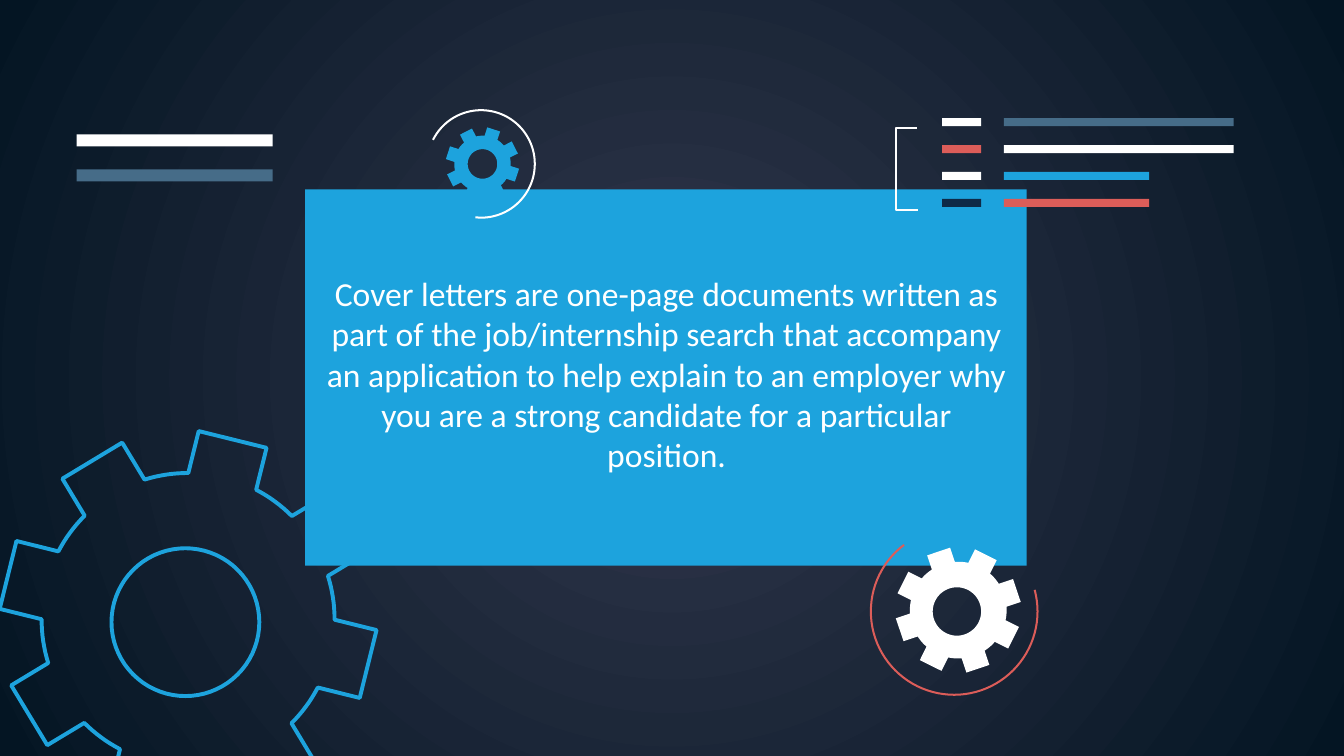
import math

from lxml import etree
from pptx import Presentation
from pptx.dml.color import RGBColor
from pptx.enum.shapes import MSO_SHAPE
from pptx.enum.text import MSO_ANCHOR, PP_ALIGN
from pptx.oxml.ns import qn
from pptx.util import Inches, Pt

RECTANGLE, ARC = MSO_SHAPE.RECTANGLE, MSO_SHAPE.ARC
TOP, CENTER = MSO_ANCHOR.TOP, PP_ALIGN.CENTER

COLORS = {
    "glow": "32374C", "night": "041523", "blue": "1DA3DD", "slate": "466C88",
    "red": "DC5D59", "navy": "0E2A47", "white": "FFFFFF",
}
MESSAGE = (
    "Cover letters are one-page documents written as part of the job/internship "
    "search that accompany an application to help explain to an employer why you "
    "are a strong candidate for a particular position."
)
PANEL = (2.27, 1.41, 5.37, 2.8)
MESSAGE_BOX = (2.29, 1.93, 5.34, 2.21)

# center, tip radius, root radius, half tooth width, first tooth angle,
# hole center, hole radius, fill, line
GEARS = [
    ((1.4, 4.61), 1.38, 1.09, 0.26, 13.9, (1.38, 4.63), 0.55, None, "blue"),
    ((7.13, 4.54), 0.46, 0.36, 0.09, 26.5, (7.12, 4.55), 0.18, "white", None),
    ((3.59, 1.22), 0.27, 0.21, 0.05, 18, (3.59, 1.22), 0.11, "blue", None),
]
TEETH = 8

# center, radius, start angle, end angle (clockwise), line
RINGS = [
    ((3.58, 1.22), 0.4, 206.6, 96, "white"),
    ((7.1, 4.55), 0.62, 345, 233, "red"),
]

# marker colour, bar colour, bar width
LIST_ROWS = [
    ("white", "slate", 1.71),
    ("red", "white", 1.71),
    ("white", "blue", 1.08),
    ("navy", "red", 1.08),
]
LIST_TOP, LIST_PITCH, LIST_BAR_HEIGHT = 0.88, 0.2, 0.06
MARKER_LEFT, MARKER_WIDTH, LIST_BAR_LEFT = 7.01, 0.29, 7.47
TITLE_BARS = [(1.0, "white"), (1.26, "slate")]
BRACKET = [(6.83, 1.56), (6.67, 1.56), (6.67, 0.95), (6.82, 0.95)]


def color(name):
    return RGBColor.from_string(COLORS[name])


def paint(shape, fill=None, line=None, width=1.09):
    shape.shadow.inherit = False
    if fill:
        shape.fill.solid()
        shape.fill.fore_color.rgb = color(fill)
    else:
        shape.fill.background()
    if line:
        shape.line.color.rgb = color(line)
        shape.line.width = Pt(width)
    else:
        shape.line.fill.background()


def add_bar(page, left, top, width, height, fill):
    bar = page.shapes.add_shape(RECTANGLE, *map(Inches, (left, top, width, height)))
    paint(bar, fill)


def add_outline(page, contours, closed=True):
    """Make one freeform out of lists of points in inches."""
    contours = [[(Inches(x), Inches(y)) for x, y in points] for points in contours]
    builder = page.shapes.build_freeform(*contours[0][0], scale=1.0)
    for index, points in enumerate(contours):
        if index:
            builder.move_to(*points[0])
        builder.add_line_segments(points[1:], close=closed)
    return builder.convert_to_shape()


def arc_points(center, radius, start, end, steps):
    angles = [start + (end - start) * step / steps for step in range(steps + 1)]
    return [(center[0] + radius * math.cos(angle), center[1] + radius * math.sin(angle))
            for angle in angles]


def gear_points(center, tip, root, half_width, first_angle):
    """Straight-sided teeth joined by arcs on the root circle."""
    pitch = 2 * math.pi / TEETH
    root_half = math.asin(half_width / root)
    tip_half = math.atan2(half_width, tip)
    corner_radius = math.hypot(tip, half_width)
    points = []
    for tooth in range(TEETH):
        angle = math.radians(first_angle) + tooth * pitch
        points += arc_points(center, corner_radius, angle - tip_half, angle + tip_half, 1)
        points += arc_points(center, root, angle + root_half, angle + pitch - root_half, 8)
    return points


def add_gear(page, center, tip, root, half_width, first_angle,
             hole_center, hole_radius, fill, line):
    body = gear_points(center, tip, root, half_width, first_angle)
    hole = arc_points(hole_center, hole_radius, 2 * math.pi, 0, 72)
    paint(add_outline(page, [body, hole]), fill, line, 2.1)


def add_ring(page, center, radius, start, end, line):
    left, top = (value - radius for value in center)
    ring = page.shapes.add_shape(ARC, *map(Inches, (left, top, 2 * radius, 2 * radius)))
    # Angles are stored in 1/60000 degree, adjustments in 1/100000
    ring.adjustments[0], ring.adjustments[1] = start * 0.6, end * 0.6
    paint(ring, line=line)


def set_radial_background(page):
    fill = page.background.fill
    fill.gradient()
    for stop, name in zip(fill.gradient_stops, ("glow", "night")):
        stop.color.rgb = color(name)
    linear = page.element.find(".//" + qn("a:lin"))
    radial = etree.Element(qn("a:path"), {"path": "circle"})
    edges = {side: "50000" for side in "ltrb"}
    etree.SubElement(radial, qn("a:fillToRect"), edges)
    linear.getparent().replace(linear, radial)


def add_message(page):
    box = page.shapes.add_textbox(*map(Inches, MESSAGE_BOX))
    frame = box.text_frame
    frame.word_wrap = True
    frame.vertical_anchor = TOP
    frame.margin_left = frame.margin_right = Inches(0.1)
    frame.margin_top = frame.margin_bottom = Inches(0.1)
    para = frame.paragraphs[0]
    para.text = MESSAGE
    para.alignment = CENTER
    para.font.name = "Calibri"
    para.font.size = Pt(18)
    para.font.color.rgb = color("white")


def main():
    deck = Presentation()
    deck.slide_width = Inches(10)
    deck.slide_height = deck.slide_width * 9 // 16
    page = deck.slides.add_slide(deck.slide_layouts[6])
    set_radial_background(page)

    add_bar(page, *PANEL, "blue")
    for ring in RINGS:
        add_ring(page, *ring)
    for gear in GEARS:
        add_gear(page, *gear)

    for row, (marker, bar, width) in enumerate(LIST_ROWS):
        top = LIST_TOP + row * LIST_PITCH
        add_bar(page, MARKER_LEFT, top, MARKER_WIDTH, LIST_BAR_HEIGHT, marker)
        add_bar(page, LIST_BAR_LEFT, top, width, LIST_BAR_HEIGHT, bar)
    paint(add_outline(page, [BRACKET], closed=False), line="white")
    for top, fill in TITLE_BARS:
        add_bar(page, 0.57, top, 1.46, 0.09, fill)

    add_message(page)
    deck.save("out.pptx")


if __name__ == "__main__":
    main()
